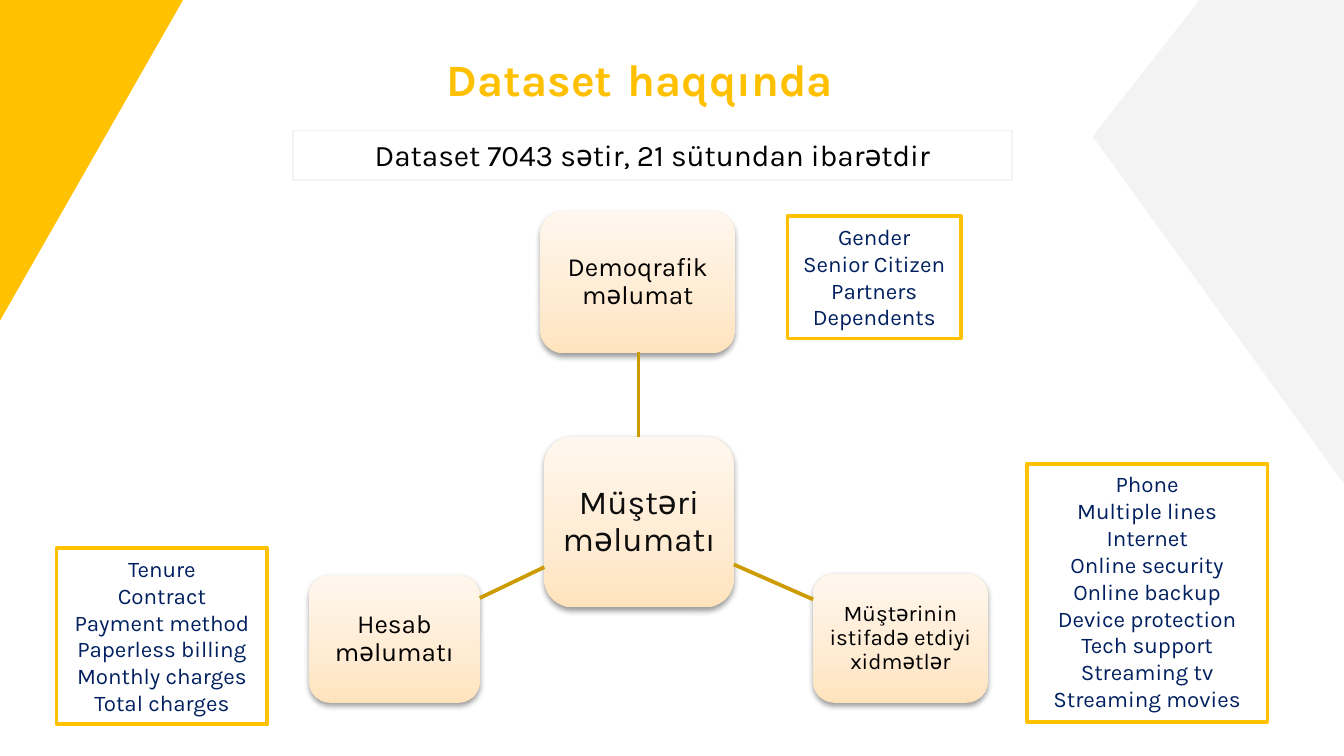
from copy import deepcopy
from dataclasses import dataclass

from pptx import Presentation
from pptx.dml.color import RGBColor
from pptx.enum.shapes import MSO_CONNECTOR, MSO_SHAPE
from pptx.enum.text import MSO_ANCHOR, MSO_AUTO_SIZE, PP_ALIGN
from pptx.oxml import parse_xml
from pptx.oxml.ns import nsdecls, qn
from pptx.util import Inches, Pt

SLIDE_WIDTH = 10
SLIDE_HEIGHT = SLIDE_WIDTH * 9 / 16
COLORS = {
    "corner": "FFC100",
    "title": "FFC000",
    "pale": "F3F3F3",
    "white": "FFFFFF",
    "black": "000000",
    "hub_text": "0D0D0D",
    "list_text": "002060",
    "link": "CC9B00",
}
CARD_GRADIENT = ((0, "FFE3BD"), (0.35, "FFEBD1"), (1, "FFF7EE"))
FONT = "Karla"


@dataclass(frozen=True)
class Box:
    left: float
    top: float
    width: float
    height: float

    def lengths(self) -> list:
        return [Inches(v) for v in (self.left, self.top, self.width, self.height)]


@dataclass(frozen=True)
class Card:
    box: Box
    label: str
    size: int
    color: str = "black"


@dataclass(frozen=True)
class Link:
    start: tuple[float, float]
    end: tuple[float, float]


@dataclass(frozen=True)
class FieldList:
    box: Box
    fields: tuple[str, ...]


CARDS = (
    Card(Box(4.05, 3.25, 1.41, 1.27), "Müştəri məlumatı", 18, "hub_text"),
    Card(Box(4.02, 1.57, 1.45, 1.06), "Demoqrafik məlumat", 14),
    Card(Box(6.05, 4.27, 1.3, 0.96), "Müştərinin istifadə etdiyi xidmətlər", 12),
    Card(Box(2.3, 4.28, 1.27, 0.95), "Hesab məlumatı", 14),
)
LINKS = (
    Link((4.75, 3.25), (4.75, 2.62)),
    Link((5.46, 4.2), (6.05, 4.46)),
    Link((4.05, 4.22), (3.57, 4.45)),
)
FIELD_LISTS = (
    FieldList(Box(5.86, 1.61, 1.29, 0.91),
              ("Gender", "Senior Citizen", "Partners", "Dependents")),
    FieldList(Box(7.64, 3.45, 1.79, 1.92),
              ("Phone", "Multiple lines", "Internet", "Online security",
               "Online backup", "Device protection", "Tech support",
               "Streaming tv", "Streaming movies")),
    FieldList(Box(0.42, 4.08, 1.57, 1.31),
              ("Tenure", "Contract", "Payment method", "Paperless billing",
               "Monthly charges", "Total charges")),
)


def rgb(name: str) -> RGBColor:
    return RGBColor.from_string(COLORS[name])


def style_run(run, size: int, color: str, font: str = FONT, bold: bool = False) -> None:
    run.font.name = font
    run.font.size = Pt(size)
    run.font.bold = bold
    run.font.color.rgb = rgb(color)


def write_centred(frame, text: str, size: int, color: str) -> None:
    frame.text = text
    for paragraph in frame.paragraphs:
        paragraph.alignment = PP_ALIGN.CENTER
        for run in paragraph.runs:
            style_run(run, size, color)


def add_corner(slide, kind, box: Box, rotation: int, color: str):
    corner = slide.shapes.add_shape(kind, *box.lengths())
    corner.rotation = rotation
    corner.shadow.inherit = False
    corner.fill.solid()
    corner.fill.fore_color.rgb = rgb(color)
    corner.line.fill.background()
    return corner


def add_title(slide) -> None:
    title = slide.shapes.title
    title.left, title.top, title.width, title.height = Box(0.33, 0.17, 8.86, 0.63).lengths()
    frame = title.text_frame
    frame.auto_size = MSO_AUTO_SIZE.NONE
    frame.vertical_anchor = MSO_ANCHOR.TOP
    frame.margin_left = frame.margin_right = Inches(0.1)
    frame.margin_top = frame.margin_bottom = Inches(0.1)
    heading = frame.paragraphs[0]
    heading.alignment = PP_ALIGN.CENTER
    for text, size, color, font, bold in (
        ("Dataset", 24, "title", FONT, True),
        (" ", 32, "black", "Lato", False),
        ("haqqında", 24, "title", FONT, True),
    ):
        run = heading.add_run()
        run.text = text
        style_run(run, size, color, font, bold)


def add_outlined_text(slide, box: Box, text: str, size: int, color: str,
                      outline: str, weight: float, filled: bool = True) -> None:
    panel = slide.shapes.add_shape(MSO_SHAPE.RECTANGLE, *box.lengths())
    panel.shadow.inherit = False
    if filled:
        panel.fill.solid()
        panel.fill.fore_color.rgb = rgb("white")
    else:
        panel.fill.background()
    panel.line.color.rgb = rgb(outline)
    panel.line.width = Pt(weight)
    panel.text_frame.word_wrap = False
    panel.text_frame.vertical_anchor = MSO_ANCHOR.TOP
    write_centred(panel.text_frame, text, size, color)


def add_card(slide, card: Card) -> None:
    shape = slide.shapes.add_shape(MSO_SHAPE.ROUNDED_RECTANGLE, *card.box.lengths())
    shape.line.fill.background()
    shape.fill.gradient()
    shape.fill.gradient_angle = 90
    properties = shape._element.spPr
    stops = properties.find(".//" + qn("a:gsLst"))
    stops.append(deepcopy(stops[0]))
    for stop, (position, color) in zip(shape.fill.gradient_stops, CARD_GRADIENT):
        stop.position = position
        stop.color.rgb = RGBColor.from_string(color)
    properties.append(parse_xml(
        f'<a:effectLst {nsdecls("a")}>'
        f'<a:outerShdw blurRad="{Pt(3.1)}" dist="{Pt(1.6)}" dir="5400000" rotWithShape="0">'
        f'<a:srgbClr val="{COLORS["black"]}"><a:alpha val="38000"/></a:srgbClr>'
        '</a:outerShdw></a:effectLst>'))
    frame = shape.text_frame
    frame.word_wrap = True
    frame.vertical_anchor = MSO_ANCHOR.MIDDLE
    frame.margin_left = frame.margin_right = Inches(0.04)
    frame.margin_top = frame.margin_bottom = Inches(0.04)
    write_centred(frame, card.label, card.size, card.color)
    frame.paragraphs[0].line_spacing = 0.9


def add_link(slide, link: Link) -> None:
    ends = [Inches(v) for v in (*link.start, *link.end)]
    connector = slide.shapes.add_connector(MSO_CONNECTOR.STRAIGHT, *ends)
    connector.line.color.rgb = rgb("link")
    connector.line.width = Pt(2)
    connector._element.spPr.append(parse_xml(f'<a:effectLst {nsdecls("a")}/>'))


def main() -> None:
    deck = Presentation()
    deck.slide_width, deck.slide_height = Inches(SLIDE_WIDTH), Inches(SLIDE_HEIGHT)
    slide = deck.slides.add_slide(deck.slide_layouts[5])

    grey_corner = add_corner(slide, MSO_SHAPE.ISOSCELES_TRIANGLE,
                             Box(6.58, 0.18, 4.97, 1.87), 270, "pale")
    grey_corner.adjustments[0] = 0.52
    add_corner(slide, MSO_SHAPE.RIGHT_TRIANGLE, Box(-0.52, 0.51, 2.4, 1.37), 90, "corner")
    add_title(slide)
    add_outlined_text(slide, Box(2.18, 0.97, 5.35, 0.37),
                      "Dataset 7043 sətir, 21 sütundan ibarətdir",
                      16, "black", "pale", 0.75, filled=False)
    for card in CARDS:
        add_card(slide, card)
    for link in LINKS:
        add_link(slide, link)
    for group in FIELD_LISTS:
        add_outlined_text(slide, group.box, "\n".join(group.fields),
                          12, "list_text", "corner", 2)
    deck.save("out.pptx")


if __name__ == "__main__":
    main()
